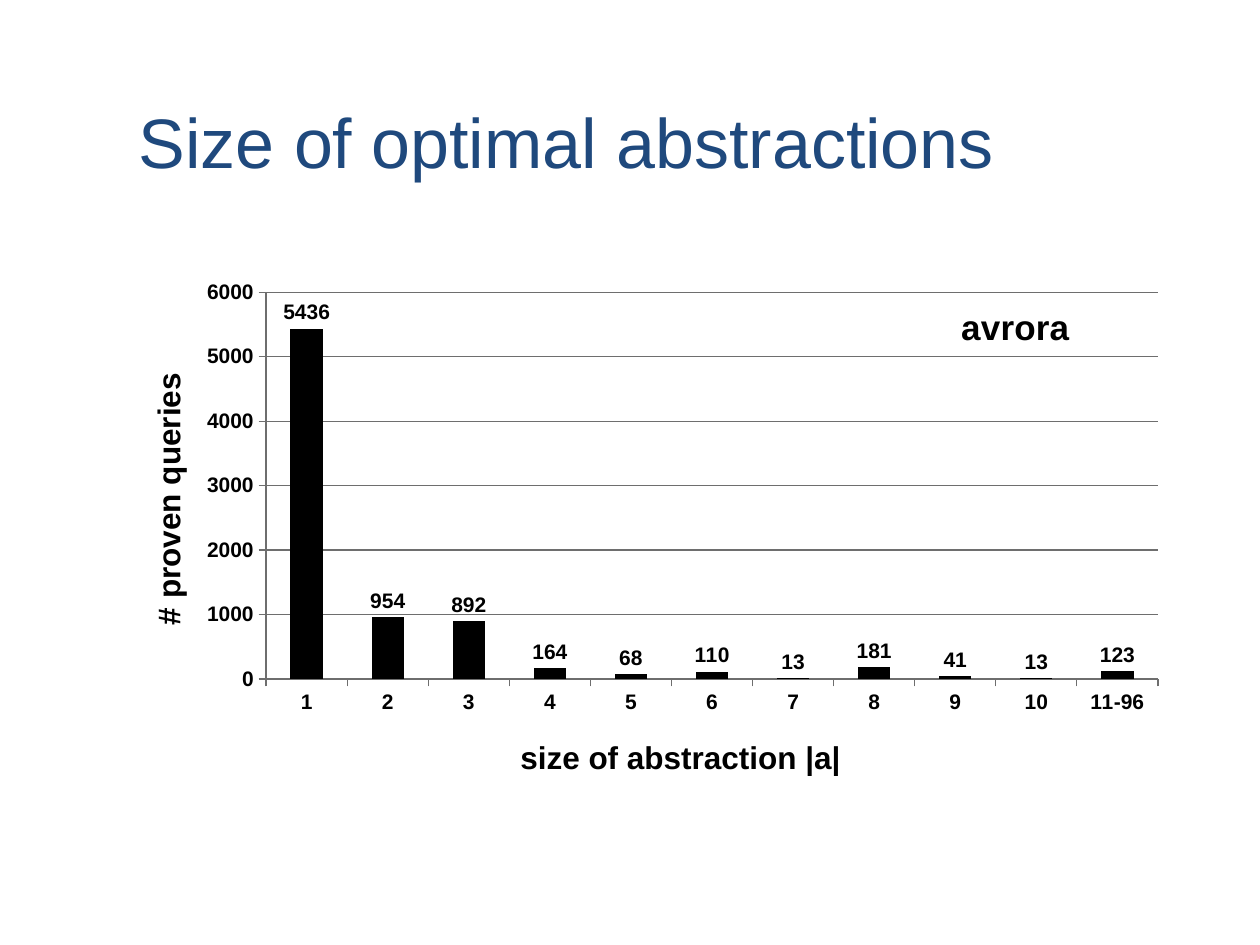
from dataclasses import dataclass
from typing import Optional

from lxml import etree
from pptx import Presentation
from pptx.chart.data import CategoryChartData
from pptx.dml.color import RGBColor
from pptx.enum.chart import XL_CHART_TYPE, XL_LABEL_POSITION, XL_TICK_MARK
from pptx.enum.text import MSO_ANCHOR, PP_ALIGN
from pptx.oxml.ns import qn
from pptx.util import Inches, Pt

COLUMN_CLUSTERED = XL_CHART_TYPE.COLUMN_CLUSTERED
OUTSIDE_END = XL_LABEL_POSITION.OUTSIDE_END
TICK_OUTSIDE = XL_TICK_MARK.OUTSIDE
TICK_NONE = XL_TICK_MARK.NONE
BOTTOM = MSO_ANCHOR.BOTTOM
LEFT = PP_ALIGN.LEFT

FONT = "Arial"
COLORS = {"title": "1F497D", "ink": "000000", "line": "6E6E6E"}
QUERIES = {
    "1": 5436, "2": 954, "3": 892, "4": 164, "5": 68, "6": 110,
    "7": 13, "8": 181, "9": 41, "10": 13, "11-96": 123,
}


@dataclass
class Layout:
    x: float
    y: float
    w: Optional[float] = None
    h: Optional[float] = None


@dataclass
class ChartLabel:
    text: str
    size: int
    layout: Layout


CHART_TITLE = ChartLabel("avrora", 20, Layout(0.79, 0.08))
CATEGORY_TITLE = ChartLabel("size of abstraction |a|", 18, Layout(0.4, 0.83))
VALUE_TITLE = ChartLabel("# proven queries", 18, Layout(0.07, 0.2))
PLOT_LAYOUT = Layout(0.18, 0.07, 0.79, 0.67)


def style_font(font, size: int, color: str, bold: bool) -> None:
    font.name = FONT
    font.size = Pt(size)
    font.bold = bold
    font.color.rgb = RGBColor.from_string(COLORS[color])


def style_line(line) -> None:
    line.color.rgb = RGBColor.from_string(COLORS["line"])
    line.width = Pt(0.75)


def place(element, layout: Layout, index: int) -> None:
    for old_layout in element.findall(qn("c:layout")):
        element.remove(old_layout)
    holder = etree.Element(qn("c:layout"))
    element.insert(index, holder)
    manual = etree.SubElement(holder, qn("c:manualLayout"))
    settings = {"xMode": "edge", "yMode": "edge", "x": layout.x, "y": layout.y}
    if layout.w is not None:
        settings = {"layoutTarget": "inner", **settings, "w": layout.w, "h": layout.h}
    for name, value in settings.items():
        etree.SubElement(manual, qn(f"c:{name}")).set("val", str(value))


def write_label(title, label: ChartLabel) -> None:
    run = title.text_frame.paragraphs[0].add_run()
    run.text = label.text
    style_font(run.font, label.size, "ink", True)
    place(title._element, label.layout, 1)


def style_axis(axis, label: ChartLabel) -> None:
    axis.major_tick_mark = TICK_OUTSIDE
    axis.minor_tick_mark = TICK_NONE
    style_font(axis.tick_labels.font, 12, "ink", True)
    style_line(axis.format.line)
    write_label(axis.axis_title, label)


def add_title(slide) -> None:
    title = slide.shapes.title
    title.left, title.top = Inches(1), Inches(0.3)
    title.width, title.height = Inches(8.5), Inches(1.25)
    frame = title.text_frame
    frame.vertical_anchor = BOTTOM
    frame.margin_left = frame.margin_right = frame.margin_bottom = Inches(0.1)
    frame.margin_top = Inches(0.05)
    paragraph = frame.paragraphs[0]
    paragraph.alignment = LEFT
    run = paragraph.add_run()
    run.text = "Size of optimal abstractions"
    style_font(run.font, 40, "title", False)


def add_query_chart(slide) -> None:
    data = CategoryChartData()
    data.categories = list(QUERIES)
    data.add_series("Series 1", list(QUERIES.values()))
    chart = slide.shapes.add_chart(
        COLUMN_CLUSTERED, Inches(0.5), Inches(2), Inches(8.96), Inches(4.58), data
    ).chart
    chart.has_legend = False
    style_font(chart.font, 12, "ink", False)

    write_label(chart.chart_title, CHART_TITLE)
    chart.chart_title._element.find(qn("c:overlay")).set("val", "1")
    style_axis(chart.category_axis, CATEGORY_TITLE)
    style_axis(chart.value_axis, VALUE_TITLE)
    chart.value_axis.minimum_scale = 0
    chart.value_axis.maximum_scale = 6000
    chart.value_axis.major_unit = 1000
    style_line(chart.value_axis.major_gridlines.format.line)
    place(chart._chartSpace.chart.plotArea, PLOT_LAYOUT, 0)

    plot = chart.plots[0]
    plot.gap_width = 150
    plot.vary_by_categories = False
    fill = plot.series[0].format.fill
    fill.solid()
    fill.fore_color.rgb = RGBColor.from_string(COLORS["ink"])
    plot.has_data_labels = True
    plot.data_labels.show_value = True
    plot.data_labels.position = OUTSIDE_END
    style_font(plot.data_labels.font, 12, "ink", True)


def main() -> None:
    presentation = Presentation()
    presentation.slide_width = Inches(10)
    presentation.slide_height = Inches(7.5)
    slide = presentation.slides.add_slide(presentation.slide_layouts[5])
    add_title(slide)
    add_query_chart(slide)
    presentation.save("out.pptx")


if __name__ == "__main__":
    main()
